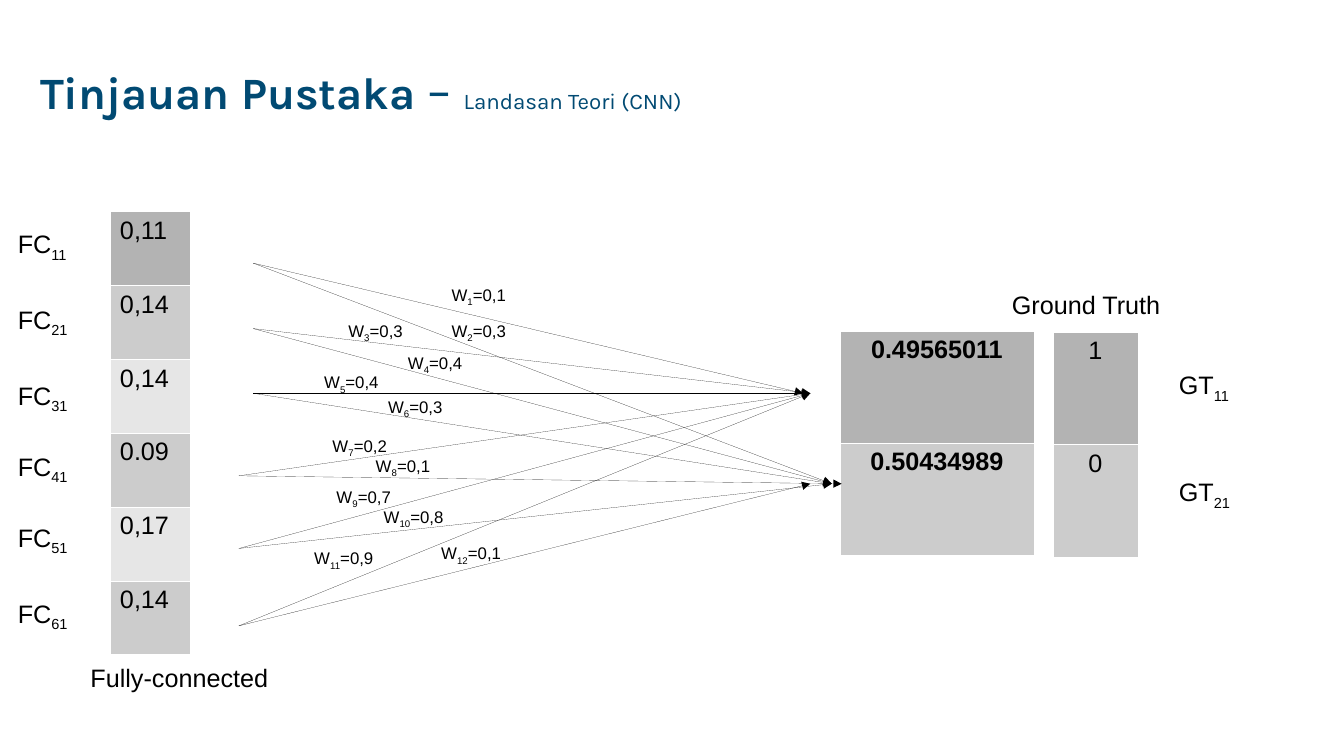
from dataclasses import dataclass

from lxml.etree import SubElement
from pptx import Presentation
from pptx.dml.color import RGBColor
from pptx.enum.shapes import MSO_CONNECTOR as Connector
from pptx.enum.text import MSO_ANCHOR as Anchor, PP_ALIGN as Align
from pptx.oxml.ns import qn
from pptx.util import Cm, Pt


@dataclass(frozen=True)
class Theme:
    ink: str = "000000"
    title: str = "014A73"
    border: str = "FFFFFF"
    dark: str = "B3B3B3"
    mid: str = "CCCCCC"
    light: str = "E6E6E6"
    heading_font: str = "Karla"
    body_font: str = "Arial"
    heading_size: int = 32
    dash_size: int = 36
    subtitle_size: int = 16
    body_size: int = 18
    weight_size: int = 12
    border_width: float = 0.06


def write(paragraph, text, *, size, font, color, bold=False, subscript=False):
    run = paragraph.add_run()
    run.text = text
    run.font.size = Pt(size)
    run.font.name = font
    run.font.bold = bold
    run.font.color.rgb = RGBColor.from_string(color)
    if subscript:
        run.font._element.set("baseline", "-25000")


class NetworkSlide:
    """Draws on one slide in one theme; all lengths are centimetres."""

    def __init__(self, slide, theme):
        self.shapes = slide.shapes
        self.theme = theme

    def text_box(self, left, top, width, height):
        frame = self.shapes.add_textbox(Cm(left), Cm(top), Cm(width), Cm(height)).text_frame
        frame.word_wrap = True
        return frame

    def title(self, heading, dash, subtitle):
        theme = self.theme
        frame = self.text_box(0.76, 0.51, 19.3, 3.68)
        frame.vertical_anchor = Anchor.MIDDLE
        paragraph = frame.paragraphs[0]
        paragraph.line_spacing = 0.9
        look = dict(font=theme.heading_font, color=theme.title)
        write(paragraph, heading, size=theme.heading_size, bold=True, **look)
        write(paragraph, dash, size=theme.dash_size, **look)
        write(paragraph, subtitle, size=theme.subtitle_size, **look)

    def label(self, left, top, width, text, index="", value="", size=None, height=0.97):
        """Text with an optional subscript index and a value after it."""
        paragraph = self.text_box(left, top, width, height).paragraphs[0]
        look = dict(size=size or self.theme.body_size,
                    font=self.theme.body_font, color=self.theme.ink)
        write(paragraph, text, **look)
        if index:
            write(paragraph, index, subscript=True, **look)
        if value:
            write(paragraph, value, **look)

    def column(self, left, top, width, row_height, cells, align=Align.CENTER, bold=False):
        """One-column table from (text, fill) pairs."""
        theme = self.theme
        table = self.shapes.add_table(len(cells), 1, Cm(left), Cm(top), Cm(width),
                                      Cm(row_height * len(cells))).table
        table.first_row = table.horz_banding = False
        for row, (text, fill) in enumerate(cells):
            table.rows[row].height = Cm(row_height)
            cell = table.cell(row, 0)
            self.border(cell)
            cell.fill.solid()
            cell.fill.fore_color.rgb = RGBColor.from_string(fill)
            paragraph = cell.text_frame.paragraphs[0]
            paragraph.alignment = align
            write(paragraph, text, size=theme.body_size, font=theme.body_font,
                  color=theme.ink, bold=bold)

    def border(self, cell):
        properties = cell._tc.get_or_add_tcPr()
        for side in ("a:lnL", "a:lnR", "a:lnT", "a:lnB"):
            line = SubElement(properties, qn(side), w=str(Pt(self.theme.border_width)))
            solid = SubElement(line, qn("a:solidFill"))
            SubElement(solid, qn("a:srgbClr"), val=self.theme.border)

    def arrow(self, start, end):
        """Hairline arrow: no preset style and no set width."""
        connector = self.shapes.add_connector(Connector.STRAIGHT, *map(Cm, (*start, *end)))
        connector.line.color.rgb = RGBColor.from_string(self.theme.ink)
        element = connector._element
        element.remove(element.find(qn("p:style")))
        SubElement(element.spPr.find(qn("a:ln")), qn("a:tailEnd"), type="triangle")
        SubElement(element.spPr, qn("a:effectLst"))


def main():
    deck = Presentation()
    deck.slide_width, deck.slide_height = Cm(33.87), Cm(19.05)
    theme = Theme()
    page = NetworkSlide(deck.slides.add_slide(deck.slide_layouts[6]), theme)

    page.title("Tinjauan Pustaka", " – ", "Landasan Teori (CNN)")
    page.label(2.03, 16.56, 5.89, "Fully-connected")
    page.label(25.25, 7.16, 5.08, "Ground Truth")

    inputs = [("0,11", theme.dark), ("0,14", theme.mid), ("0,14", theme.light),
              ("0.09", theme.mid), ("0,17", theme.light), ("0,14", theme.mid)]
    page.column(2.77, 5.33, 2.03, 1.86, inputs, align=Align.LEFT)
    page.column(26.54, 8.36, 2.13, 2.84, [("1", theme.dark), ("0", theme.mid)])
    page.column(21.16, 8.33, 4.9, 2.83,
                [("0.49565011", theme.dark), ("0.50434989", theme.mid)], bold=True)

    for row, top in enumerate((5.64, 7.54, 9.45, 11.25, 13.03, 14.94), start=1):
        page.label(0.2, top, 2.36, "FC", f"{row}1")
    for row, top in enumerate((9.19, 11.89), start=1):
        page.label(29.46, top, 2.41, "GT", f"{row}1")

    # Each input node, then the x of its arrow tip at either output
    links = [((6.38, 6.63), 20.24, 20.96), ((6.38, 8.28), 20.42, 20.96),
             ((6.38, 9.91), 20.42, 20.96), ((6.02, 11.99), 20.42, 21.21),
             ((6.02, 13.82), 20.42, 20.96), ((6.02, 15.77), 20.42, 20.42)]
    for node, first_tip, second_tip in links:
        page.arrow(node, (first_tip, 9.91))
        page.arrow(node, (second_tip, 12.19))

    weights = [("0,1", 11.13, 7.04), ("0,3", 11.13, 7.95), ("0,3", 8.53, 7.95),
               ("0,4", 10.03, 8.76), ("0,4", 7.92, 9.25), ("0,3", 9.53, 9.86),
               ("0,2", 8.13, 10.85), ("0,1", 9.22, 11.35), ("0,7", 8.23, 12.14),
               ("0,8", 9.42, 12.65), ("0,9", 7.67, 13.69), ("0,1", 10.87, 13.56)]
    for number, (value, left, top) in enumerate(weights, start=1):
        page.label(left, top, 2.6 if number < 10 else 2.95, "W", str(number), f"={value}",
                   size=theme.weight_size, height=0.81)

    deck.save("out.pptx")


if __name__ == "__main__":
    main()
